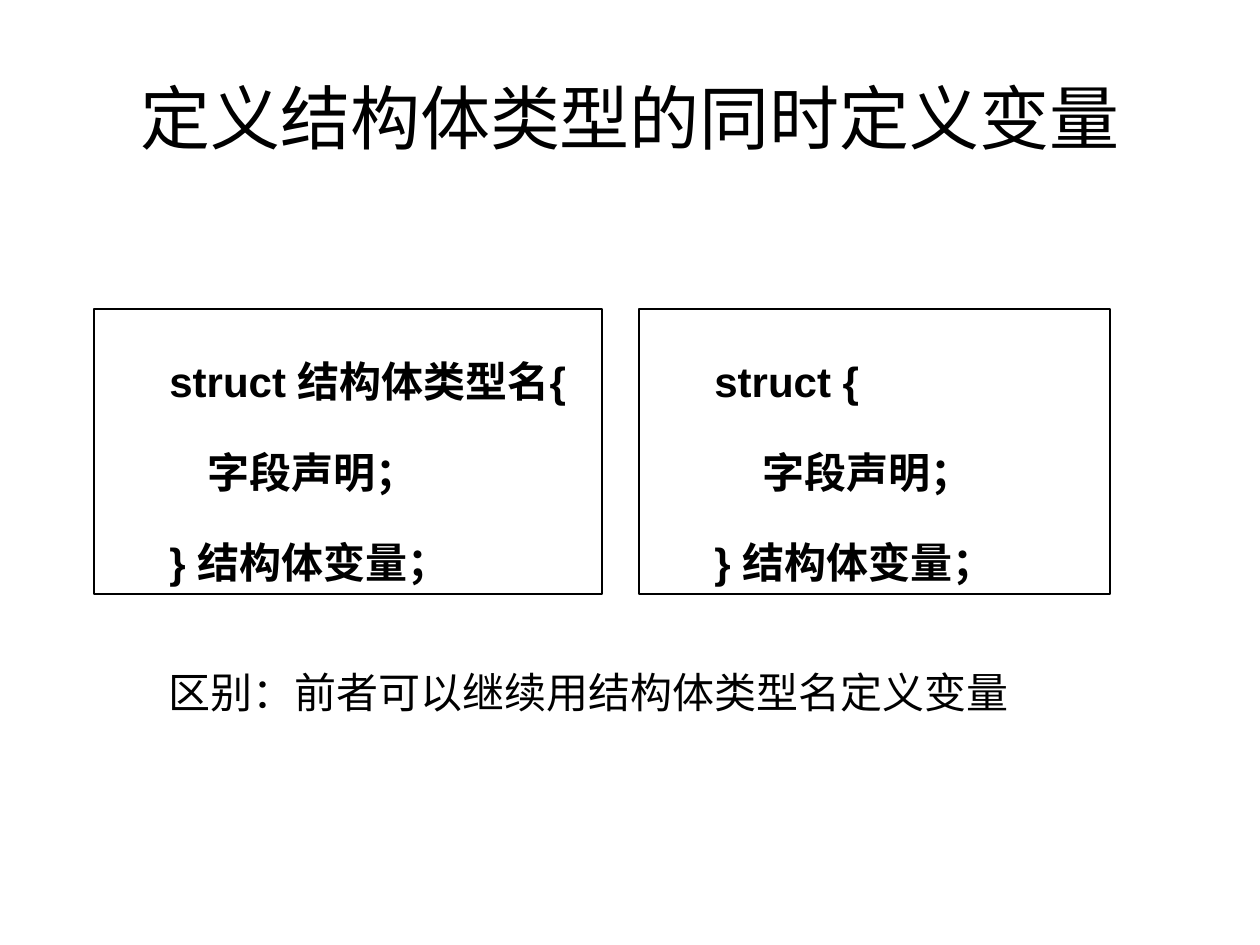
from pptx import Presentation
from pptx import util as u
from pptx.dml.color import RGBColor
from pptx.enum import shapes, text

BLACK = RGBColor(0, 0, 0)
PX = u.Inches(1) // 126
FONT = "Arial"
CODE_INDENT = 63


def box(px):
    return [n * PX for n in px]


def write(tf, lines, size, bold=False, indent=0, **para):
    tf.word_wrap = True
    for i, line in enumerate(lines):
        p = tf.paragraphs[0] if i == 0 else tf.add_paragraph()
        if indent:
            p.level = 1
            pPr = p._p.get_or_add_pPr()
            pPr.set("marL", str(indent * PX))
            pPr.set("indent", "0")
        for name, value in para.items():
            setattr(p, name, value)
        r = p.add_run()
        r.text = line
        font = {"name": FONT, "size": u.Pt(size), "bold": bold}
        for name, value in font.items():
            setattr(r.font, name, value)
        r.font.color.rgb = BLACK


def add_label(s, px, line, size, anchor, align):
    tf = s.shapes.add_textbox(*box(px)).text_frame
    tf.vertical_anchor = anchor
    write(tf, [line], size, alignment=align)


def add_code(s, px, lines):
    sp = s.shapes.add_shape(shapes.MSO_SHAPE.RECTANGLE, *box(px))
    sp.shadow.inherit = False
    sp.fill.background()
    sp.line.color.rgb = BLACK
    sp.line.width = u.Pt(1)
    sp.text_frame.vertical_anchor = text.MSO_ANCHOR.TOP
    write(sp.text_frame, lines, 24, bold=True, indent=CODE_INDENT,
          line_spacing=1.8, alignment=text.PP_ALIGN.LEFT)


def main():
    prs = Presentation()
    prs.slide_width, prs.slide_height = box((1260, 945))
    s = prs.slides.add_slide(prs.slide_layouts[6])
    add_label(s, (63, 38, 1134, 157), "定义结构体类型的同时定义变量", 40,
              text.MSO_ANCHOR.MIDDLE, text.PP_ALIGN.CENTER)
    codes = [
        (94, 508, "struct 结构体类型名{", "    字段声明；"),
        (639, 471, "struct {", "     字段声明；"),
    ]
    for left, width, head, field in codes:
        add_code(s, (left, 309, width, 285), [head, field, "} 结构体变量；"])
    add_label(s, (156, 660, 887, 63), "区别：前者可以继续用结构体类型名定义变量", 24,
              text.MSO_ANCHOR.TOP, text.PP_ALIGN.LEFT)
    prs.save("out.pptx")


if __name__ == "__main__":
    main()
